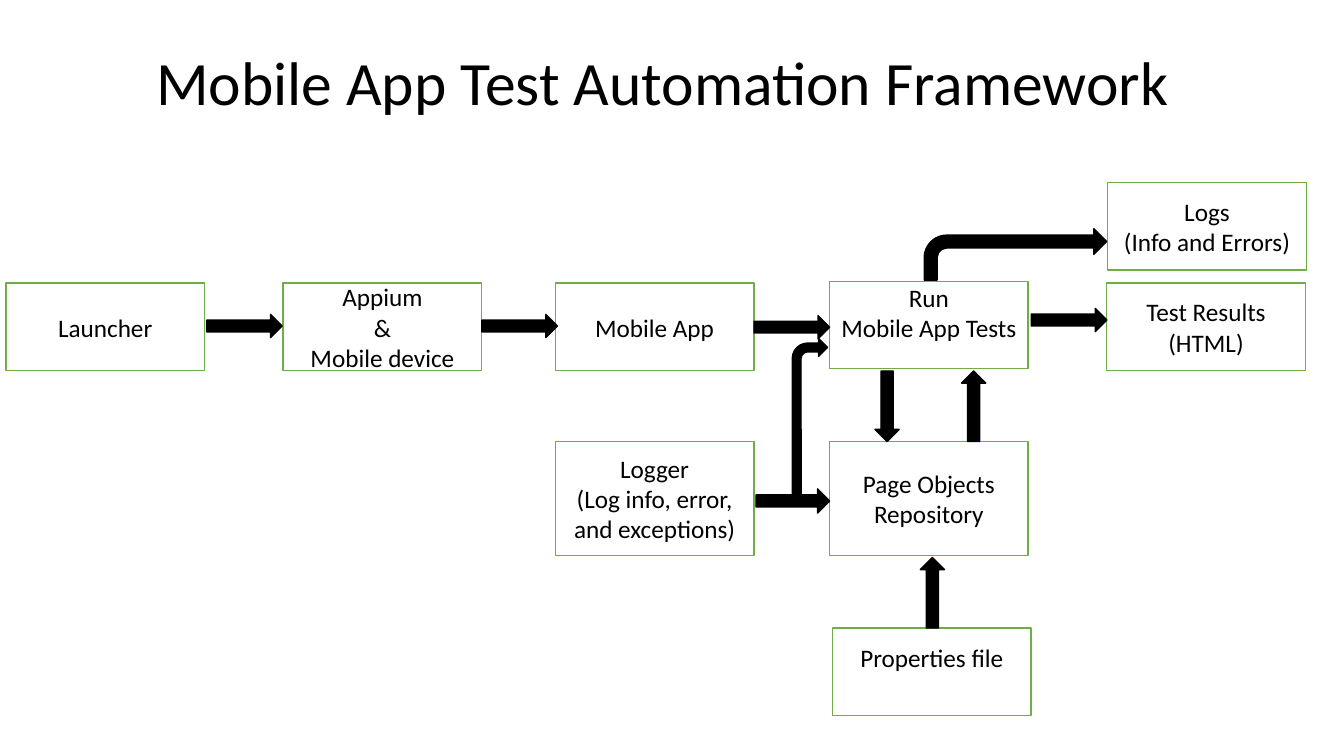
from dataclasses import dataclass
from typing import Optional

from pptx import Presentation
from pptx import util as u
from pptx.dml import color
from pptx.enum import shapes, text

BLACK = color.RGBColor(0x00, 0x00, 0x00)
WHITE = color.RGBColor(0xFF, 0xFF, 0xFF)
GREEN = color.RGBColor(0x70, 0xAD, 0x47)
FONT = "Calibri"

BOX_W, BOX_H, TALL_H = 141.8, 62.6, 81.4
COL_LAUNCHER, COL_DEVICE, COL_APP, COL_TESTS, COL_OUTPUT = 4.3, 202.3, 396.7, 592.6, 790.6
ROW_MAIN, ROW_OBJECTS, ROW_FILE = 202.3, 315.4, 448.6

RIGHT = shapes.MSO_SHAPE.RIGHT_ARROW
UP = shapes.MSO_SHAPE.UP_ARROW
DOWN = shapes.MSO_SHAPE.DOWN_ARROW
BENT = shapes.MSO_SHAPE.BENT_ARROW
ARROW_LEN, ARROW_THICK = 54, 16.6
RISE_W, RISE_H = 17.3, 50.4


@dataclass
class Box:
    """A labelled step; top_inset anchors its label to the top edge."""
    label: str
    x: float
    y: float
    h: float = BOX_H
    top_inset: Optional[float] = None


@dataclass
class Arrow:
    """A block arrow between steps."""
    kind: shapes.MSO_SHAPE
    x: float
    y: float
    w: float = ARROW_LEN
    h: float = ARROW_THICK


BOXES = [
    Box("Launcher", COL_LAUNCHER, ROW_MAIN),
    Box("Appium\n&\nMobile device", COL_DEVICE, ROW_MAIN),
    Box("Mobile App", COL_APP, ROW_MAIN),
    Box("Run\nMobile App Tests", COL_TESTS, 200.9, top_inset=0.5),
    Box("Test Results\n(HTML)", COL_OUTPUT, ROW_MAIN),
    Box("Logs\n(Info and Errors)", 791.3, 130.3),
    Box("Logger\n(Log info, error, and exceptions)", COL_APP, ROW_OBJECTS, TALL_H),
    Box("Page Objects Repository", COL_TESTS, ROW_OBJECTS, TALL_H),
    Box("Properties file", 594.7, ROW_FILE, top_inset=10.5),
]

ARROWS = [
    Arrow(RIGHT, 147.6, 224.6),
    Arrow(RIGHT, 344.2, 224.6),
    Arrow(RIGHT, 538.6, 225.4),
    Arrow(RIGHT, 736.6, 220.3),
    Arrow(RIGHT, 540, 349.2, 52.6, 17.3),
    Arrow(DOWN, 625, 265, RISE_W, RISE_H),
    Arrow(UP, 686.9, 265, RISE_W, RISE_H),
    Arrow(UP, 657.4, 398.2, RISE_W, RISE_H),
    Arrow(BENT, 565.9, 241.9, 25.2, 110.9),
    Arrow(BENT, 660.2, 163.4, 130.3, 36.7),
]


def style_text(tf, size: float, align: text.PP_ALIGN) -> None:
    """Apply the slide font and an alignment to every paragraph."""
    tf.word_wrap = True
    for p in tf.paragraphs:
        p.alignment = align
        for r in p.runs:
            r.font.name = FONT
            r.font.size = u.Pt(size)
            r.font.color.rgb = BLACK


def add_shape(s, kind: shapes.MSO_SHAPE, x: float, y: float, w: float, h: float,
              fill: color.RGBColor, line: color.RGBColor):
    """Add a flat filled shape with a one-point outline."""
    sp = s.shapes.add_shape(kind, u.Pt(x), u.Pt(y), u.Pt(w), u.Pt(h))
    sp.shadow.inherit = False
    sp.fill.solid()
    sp.fill.fore_color.rgb = fill
    sp.line.color.rgb = line
    sp.line.width = u.Pt(1)
    return sp


def add_box(s, box: Box) -> None:
    """Draw one labelled step."""
    sp = add_shape(s, shapes.MSO_SHAPE.RECTANGLE, box.x, box.y, BOX_W, box.h, WHITE, GREEN)
    tf = sp.text_frame
    tf.text = box.label
    tf.vertical_anchor = text.MSO_ANCHOR.MIDDLE
    if box.top_inset is not None:
        tf.vertical_anchor = text.MSO_ANCHOR.TOP
        tf.margin_top = u.Pt(box.top_inset)
    style_text(tf, 18, text.PP_ALIGN.CENTER)


def add_arrow(s, arrow: Arrow) -> None:
    """Draw one block arrow."""
    add_shape(s, arrow.kind, arrow.x, arrow.y, arrow.w, arrow.h, BLACK, BLACK)


def add_title(s, title: str) -> None:
    """Draw the slide title."""
    tf = s.shapes.add_textbox(u.Pt(104.4), u.Pt(8.6), u.Pt(828), u.Pt(104.4)).text_frame
    tf.text = title
    tf.vertical_anchor = text.MSO_ANCHOR.MIDDLE
    tf.paragraphs[0].line_spacing = 0.9
    style_text(tf, 44, text.PP_ALIGN.LEFT)


def main() -> None:
    """Build and save the slide."""
    prs = Presentation()
    prs.slide_width, prs.slide_height = u.Pt(960), u.Pt(540)
    s = prs.slides.add_slide(prs.slide_layouts[6])
    add_title(s, "Mobile App Test Automation Framework")
    for box in BOXES:
        add_box(s, box)
    for arrow in ARROWS:
        add_arrow(s, arrow)
    prs.save("out.pptx")


main()
